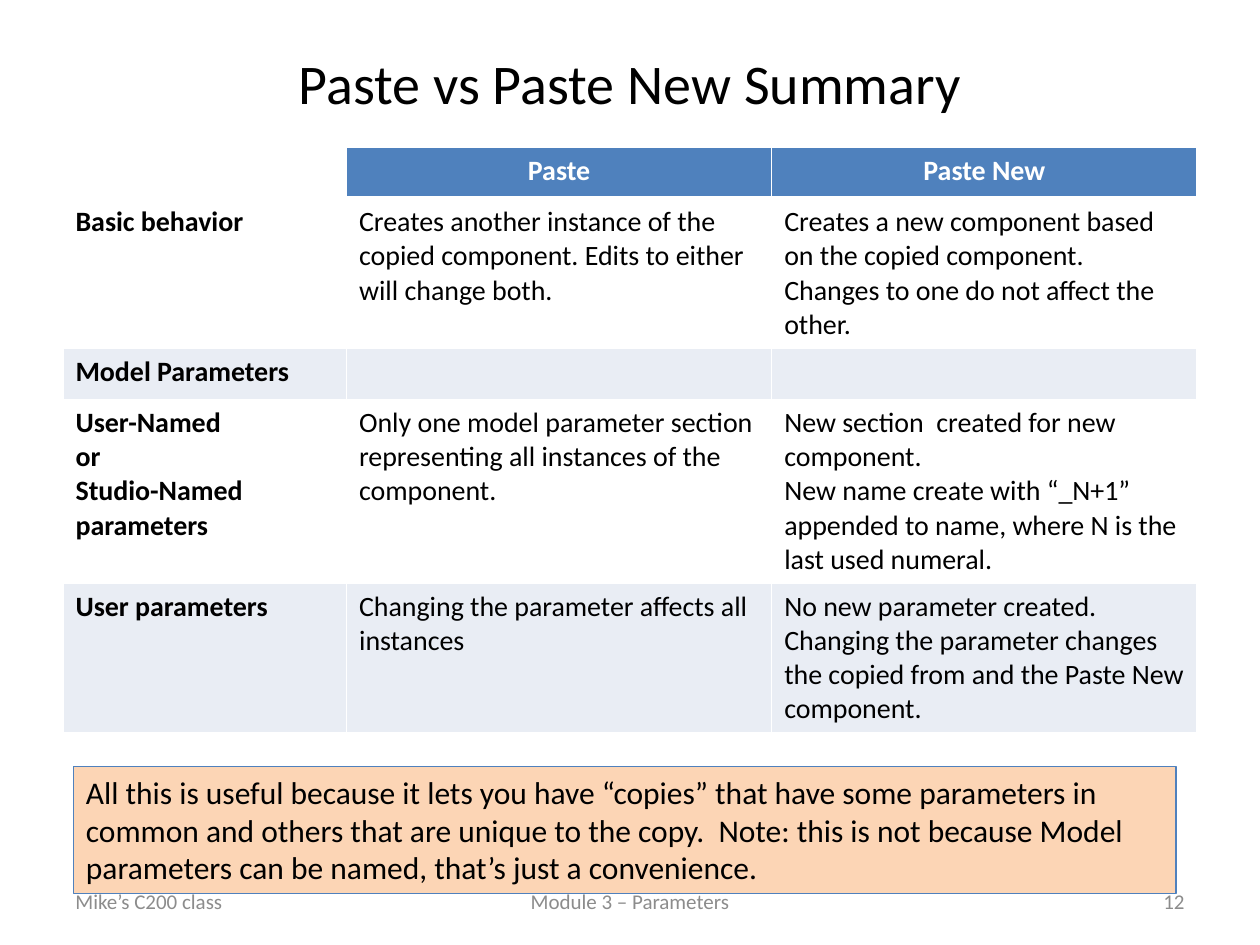
from dataclasses import dataclass

from pptx import Presentation
from pptx.dml.color import RGBColor
from pptx.enum.shapes import MSO_SHAPE as Shape
from pptx.enum.text import MSO_ANCHOR as Anchor, MSO_AUTO_SIZE as AutoSize, PP_ALIGN as Align
from pptx.oxml.ns import qn
from pptx.util import Pt
from lxml.etree import SubElement


@dataclass(frozen=True)
class Theme:
    font: str = "Calibri"
    black: str = "000000"
    white: str = "FFFFFF"
    blue: str = "4F81BD"
    band: str = "E9EDF4"
    peach: str = "FCD5B5"
    gray: str = "8C8C8C"
    title_size: float = 32
    note_size: float = 18
    table_size: float = 16
    footer_size: float = 12


THEME = Theme()

ROWS = [
    ("", "Paste", "Paste New"),
    (
        "Basic behavior",
        "Creates another instance of the copied component. Edits to either will change both.",
        "Creates a new component based on the copied component. "
        "Changes to one do not affect the other.",
    ),
    ("Model Parameters", "", ""),
    (
        "User-Named\nor\nStudio-Named parameters",
        "Only one model parameter section representing all instances of the component.",
        "New section  created for new component.\n"
        "New name create with “_N+1” appended to name, where N is the last used numeral.",
    ),
    (
        "User parameters",
        "Changing the parameter affects all instances",
        "No new parameter created. Changing the parameter changes "
        "the copied from and the Paste New component.",
    ),
]
COLUMN_WIDTHS = (162, 243, 243)
ROW_HEIGHT = 29.2
TABLE_HEIGHT = 330

NOTE = (
    "All this is useful because it lets you have “copies” that have some parameters in common "
    "and others that are unique to the copy.  Note: this is not because Model parameters "
    "can be named, that’s just a convenience."
)

FOOTERS = [
    ("Mike’s C200 class", 36, 168, Align.LEFT),
    ("Module 3 – Parameters", 246, 228, Align.CENTER),
    ("12", 516, 168, Align.RIGHT),
]


def write_text(text_frame, text, size, color, align=Align.LEFT, bold=False):
    text_frame.text = text
    for paragraph in text_frame.paragraphs:
        paragraph.alignment = align
        for run in paragraph.runs:
            run.font.name = THEME.font
            run.font.size = Pt(size)
            run.font.bold = bold
            run.font.color.rgb = RGBColor.from_string(color)


def set_fill(fill, color):
    fill.solid()
    fill.fore_color.rgb = RGBColor.from_string(color)


def set_borders(cell, bottom_width):
    properties = cell._tc.get_or_add_tcPr()
    for side, width in (("L", 1), ("R", 1), ("T", 1), ("B", bottom_width)):
        line = SubElement(properties, qn(f"a:ln{side}"), w=str(Pt(width)))
        solid = SubElement(line, qn("a:solidFill"))
        SubElement(solid, qn("a:srgbClr"), val=THEME.white)


def add_title(slide, text):
    title = slide.shapes.title
    title.left, title.top, title.width, title.height = Pt(36), Pt(21.6), Pt(648), Pt(50.4)
    title.text_frame.vertical_anchor = Anchor.MIDDLE
    write_text(title.text_frame, text, THEME.title_size, THEME.black, Align.CENTER)


def format_cell(cell, text, row, column):
    is_header = row == 0
    set_borders(cell, 3 if is_header else 1)
    if is_header and text:
        set_fill(cell.fill, THEME.blue)
    elif not is_header and row % 2 == 0:
        set_fill(cell.fill, THEME.band)
    else:
        cell.fill.background()
    write_text(
        cell.text_frame,
        text,
        THEME.table_size,
        THEME.white if is_header else THEME.black,
        Align.CENTER if is_header else Align.LEFT,
        bold=is_header or column == 0,
    )


def add_summary_table(slide):
    frame = slide.shapes.add_table(
        len(ROWS), len(COLUMN_WIDTHS), Pt(36), Pt(84.4),
        Pt(sum(COLUMN_WIDTHS)), Pt(ROW_HEIGHT * len(ROWS)),
    )
    table = frame.table
    for column, width in zip(table.columns, COLUMN_WIDTHS):
        column.width = Pt(width)
    for row, texts in enumerate(ROWS):
        for column, text in enumerate(texts):
            format_cell(table.cell(row, column), text, row, column)
    frame.height = Pt(TABLE_HEIGHT)


def add_note(slide, text):
    note = slide.shapes.add_shape(Shape.RECTANGLE, Pt(42), Pt(438), Pt(630), Pt(72.7))
    note.shadow.inherit = False
    set_fill(note.fill, THEME.peach)
    note.line.color.rgb = RGBColor.from_string(THEME.blue)
    note.line.width = Pt(0.75)
    note.text_frame.word_wrap = True
    note.text_frame.auto_size = AutoSize.SHAPE_TO_FIT_TEXT
    note.text_frame.vertical_anchor = Anchor.TOP
    write_text(note.text_frame, text, THEME.note_size, THEME.black)


def add_footer(slide, text, left, width, align):
    footer = slide.shapes.add_textbox(Pt(left), Pt(500.5), Pt(width), Pt(28.75))
    footer.text_frame.word_wrap = True
    footer.text_frame.vertical_anchor = Anchor.MIDDLE
    write_text(footer.text_frame, text, THEME.footer_size, THEME.gray, align)


def main():
    presentation = Presentation()
    presentation.slide_width, presentation.slide_height = Pt(720), Pt(540)
    slide = presentation.slides.add_slide(presentation.slide_layouts.get_by_name("Title Only"))
    add_title(slide, "Paste vs Paste New Summary")
    add_summary_table(slide)
    add_note(slide, NOTE)
    for footer in FOOTERS:
        add_footer(slide, *footer)
    presentation.save("out.pptx")


if __name__ == "__main__":
    main()
